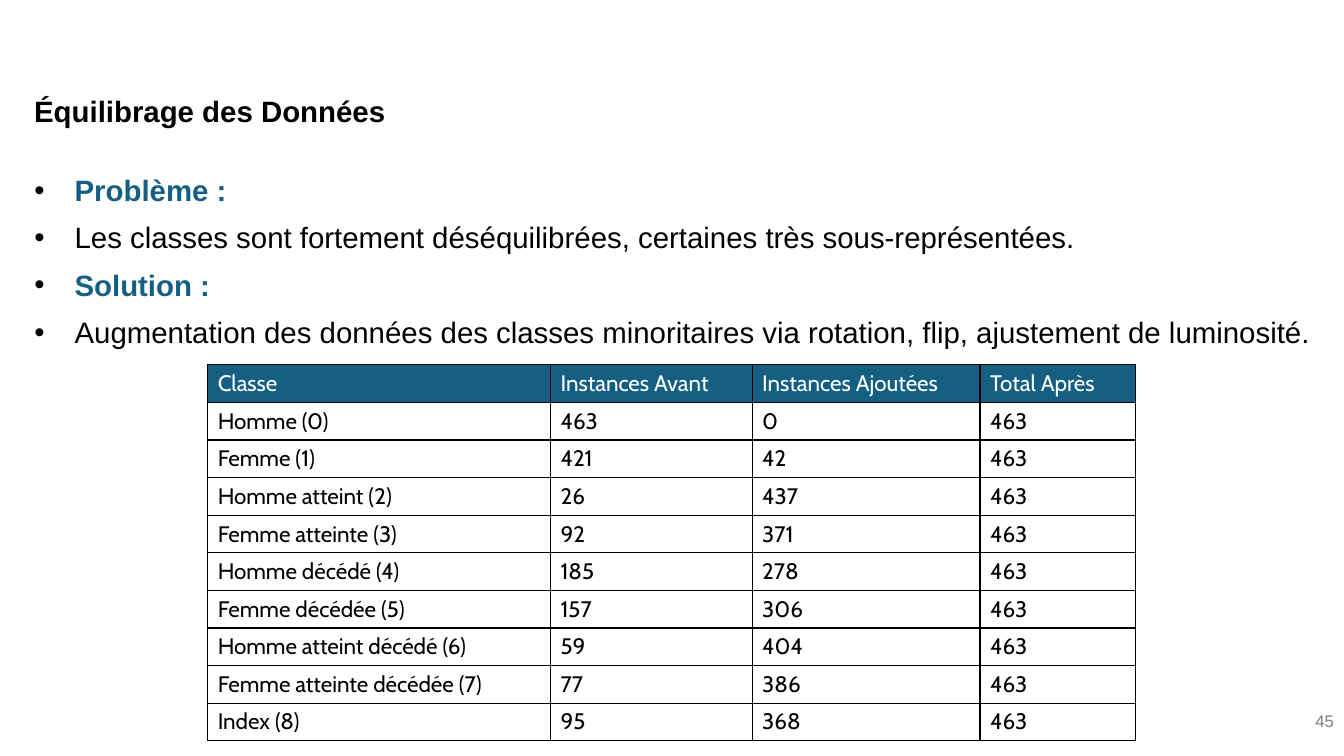
from lxml.etree import SubElement
from pptx import Presentation
from pptx.dml.color import RGBColor
from pptx.enum.text import MSO_ANCHOR as Anchor, PP_ALIGN as Align
from pptx.oxml.ns import qn
from pptx.util import Emu, Inches, Pt

BLACK, WHITE, BLUE, GREY = "000000", "FFFFFF", "156082", "7F7F7F"
TITLE = "Équilibrage des Données"
PAGE = "45"
POINTS = [
    ("Problème :", "Les classes sont fortement déséquilibrées, certaines très sous-représentées."),
    ("Solution :", "Augmentation des données des classes minoritaires via rotation, flip, "
                   "ajustement de luminosité."),
]
HEADER = ("Classe", "Instances Avant", "Instances Ajoutées", "Total Après")
CLASSES = [
    ("Homme (0)", 463, 0),
    ("Femme (1)", 421, 42),
    ("Homme atteint (2)", 26, 437),
    ("Femme atteinte (3)", 92, 371),
    ("Homme décédé (4)", 185, 278),
    ("Femme décédée (5)", 157, 306),
    ("Homme atteint décédé (6)", 59, 404),
    ("Femme atteinte décédée (7)", 77, 386),
    ("Index (8)", 95, 368),
]
COLUMNS = (3.4, 2, 2.26, 1.54)
TABLE_LEFT, TABLE_TOP, TABLE_HEIGHT = 2.06, 3.62, 3.73
LEFT = 0.24


def rgb(color):
    return RGBColor.from_string(color)


def add_run(p, text, size, color, bold=False, font="Arial"):
    r = p.add_run()
    r.text = text
    r.font.name, r.font.size, r.font.bold = font, Pt(size), bold
    r.font.color.rgb = rgb(color)


def add_box(s, left, top, width, height, anchor=Anchor.MIDDLE):
    tf = s.shapes.add_textbox(*map(Inches, (left, top, width, height))).text_frame
    tf.word_wrap = True
    tf.vertical_anchor = anchor
    return tf


def add_bullet(p):
    """Give the paragraph a black round bullet with a hanging indent."""
    pPr = p._p.get_or_add_pPr()
    pPr.set("marL", str(Inches(0.5)))
    pPr.set("indent", str(Inches(-0.4)))
    SubElement(SubElement(pPr, qn("a:buClr")), qn("a:srgbClr"), val=BLACK)
    SubElement(pPr, qn("a:buFont"), typeface="Arial")
    SubElement(pPr, qn("a:buChar"), char="•")


def add_borders(cell):
    tcPr = cell._tc.get_or_add_tcPr()
    for side in ("lnL", "lnR", "lnT", "lnB"):
        ln = SubElement(tcPr, qn("a:" + side), w=str(Pt(1)))
        SubElement(SubElement(ln, qn("a:solidFill")), qn("a:srgbClr"), val=BLACK)


def add_points(s):
    tf = add_box(s, LEFT, 1.75, 12.86, 1.86, Anchor.TOP)
    tf.margin_left = tf.margin_top = tf.margin_right = tf.margin_bottom = 0
    lines = [line for label, text in POINTS
             for line in ((label, BLUE, True), (text, BLACK, False))]
    for i, (text, color, bold) in enumerate(lines):
        p = tf.add_paragraph() if i else tf.paragraphs[0]
        p.line_spacing = 0.9
        p.space_before = Pt(11 if i else 0)
        add_bullet(p)
        add_run(p, text, 21, color, bold)


def add_class_table(s):
    rows = [HEADER] + [(name, before, added, before + added) for name, before, added in CLASSES]
    box = map(Inches, (TABLE_LEFT, TABLE_TOP, sum(COLUMNS), TABLE_HEIGHT))
    table = s.shapes.add_table(len(rows), len(COLUMNS), *box).table
    for column, width in zip(table.columns, COLUMNS):
        column.width = Inches(width)
    for i, values in enumerate(rows):
        table.rows[i].height = Emu(Inches(TABLE_HEIGHT) // len(rows))
        fill, color = (WHITE, BLACK) if i else (BLUE, WHITE)
        for j, value in enumerate(values):
            cell = table.cell(i, j)
            cell.vertical_anchor = Anchor.MIDDLE
            add_borders(cell)
            cell.fill.solid()
            cell.fill.fore_color.rgb = rgb(fill)
            add_run(cell.text_frame.paragraphs[0], str(value), 16, color, font="Cabin")


def main():
    prs = Presentation()
    prs.slide_width, prs.slide_height = Inches(13.33), Inches(7.5)
    s = prs.slides.add_slide(prs.slide_layouts[6])

    title = add_box(s, LEFT, 0.84, 12.19, 0.57).paragraphs[0]
    title.line_spacing = 0.9
    add_run(title, TITLE, 21, BLACK, bold=True)

    page = add_box(s, 10.33, 6.95, 3, 0.4).paragraphs[0]
    page.alignment = Align.RIGHT
    add_run(page, PAGE, 12, GREY)

    add_points(s)
    add_class_table(s)
    prs.save("out.pptx")


if __name__ == "__main__":
    main()
